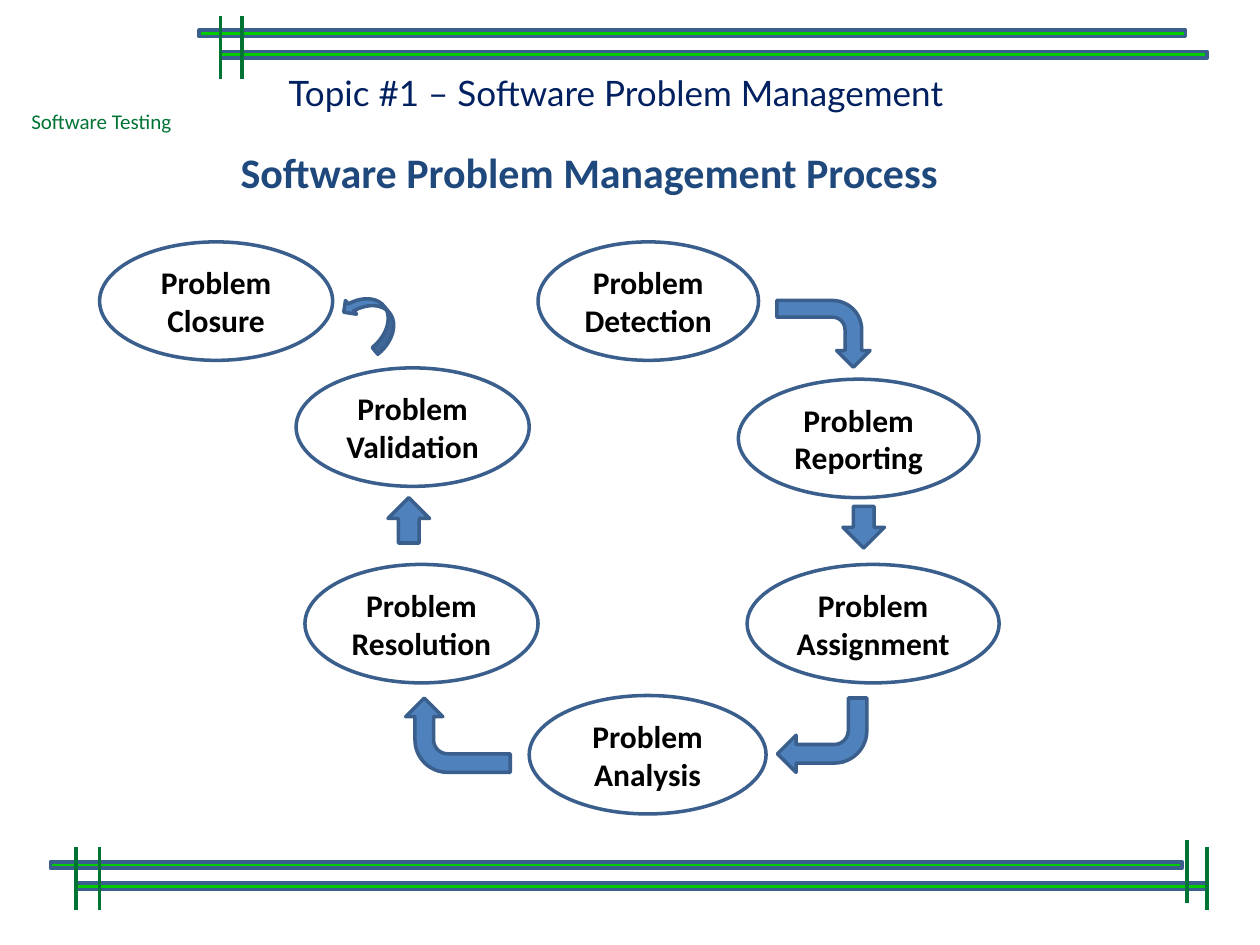
from lxml import etree
from pptx import Presentation
from pptx.dml.color import RGBColor
from pptx.enum import shapes, text
from pptx.oxml import ns
from pptx.util import Inches, Pt

WHITE = RGBColor(0xFF, 0xFF, 0xFF)
BLACK = RGBColor(0, 0, 0)
NAVY = RGBColor(0x00, 0x20, 0x60)
HEADING_BLUE = RGBColor(0x1F, 0x49, 0x7D)
ARROW_BLUE = RGBColor(0x4F, 0x81, 0xBD)
OUTLINE_BLUE = RGBColor(0x3A, 0x5F, 0x8C)
BAR_GREEN = RGBColor(0x00, 0xCC, 0x00)
DARK_GREEN = RGBColor(0x00, 0x74, 0x34)
PRESET = shapes.MSO_SHAPE

STEPS = [
    ("Detection", 4.27, 1.92, 1.75),
    ("Reporting", 5.86, 3.01, 1.91),
    ("Assignment", 5.93, 4.48, 2),
    ("Analysis", 4.2, 5.52, 1.88),
    ("Validation", 2.35, 2.92, 1.85),
    ("Resolution", 2.42, 4.48, 1.85),
    ("Closure", 0.79, 1.92, 1.85),
]
STEP_HEIGHT = 0.94
ARROWS = [
    (PRESET.BENT_ARROW, (6.27, 2.28, 0.53, 0.74), 90),
    (PRESET.DOWN_ARROW, (6.69, 4.02, 0.33, 0.33), 0),
    (PRESET.BENT_ARROW, (6.17, 5.54, 0.71, 0.59), 180),
    (PRESET.BENT_ARROW, (3.34, 5.42, 0.59, 0.83), 270),
    (PRESET.UP_ARROW, (3.08, 3.95, 0.33, 0.36), 0),
    (PRESET.CURVED_UP_ARROW, (2.7, 2.39, 0.5, 0.28), 231),
]


def place(part, box):
    """Move a part to a box given in inches."""
    part.left, part.top, part.width, part.height = map(Inches, box)


def add_run(paragraph, wording, font_name, size, color, bold=False):
    """Add one formatted run to a paragraph."""
    run = paragraph.add_run()
    run.text = wording
    run.font.name = font_name
    run.font.size = Pt(size)
    run.font.bold = bold
    run.font.color.rgb = color


def add_outlined(slide, preset, box, fill):
    """Add a preset shape with a solid fill and the blue outline."""
    outlined = slide.shapes.add_shape(preset, *map(Inches, box))
    outlined.shadow.inherit = False
    outlined.fill.solid()
    outlined.fill.fore_color.rgb = fill
    outlined.line.color.rgb = OUTLINE_BLUE
    outlined.line.width = Pt(2)
    return outlined


def add_post(slide, x, top):
    """Add a short vertical green line."""
    ends = map(Inches, (x, top, x, top + 0.5))
    post = slide.shapes.add_connector(shapes.MSO_CONNECTOR.STRAIGHT, *ends)
    post.line.color.rgb = DARK_GREEN
    post.line.width = Pt(2.25)
    etree.SubElement(post._element.spPr, ns.qn("a:effectLst"))


def add_rails(slide, box, indent, posts):
    """Add two staggered bars within a box, crossed by posts."""
    left, top, width, height = box
    bar_height = 0.05
    for x, y in ((left, top), (left + indent, top + height - bar_height)):
        bar_box = (x, y, width - indent, bar_height)
        add_outlined(slide, PRESET.FLOWCHART_PROCESS, bar_box, BAR_GREEN)
    for x, post_top in posts:
        add_post(slide, x, post_top)


def add_title(slide, box):
    """Format the topic title in its placeholder."""
    title = slide.shapes.title
    place(title, box)
    title.fill.solid()
    title.fill.fore_color.rgb = WHITE
    frame = title.text_frame
    frame.word_wrap = False
    frame.auto_size = text.MSO_AUTO_SIZE.SHAPE_TO_FIT_TEXT
    frame.vertical_anchor = text.MSO_ANCHOR.TOP
    topic = frame.paragraphs[0]
    topic.alignment = text.PP_ALIGN.LEFT
    add_run(topic, "Topic #1 – Software Problem Management", "Lato", 20, NAVY)


def add_course_label(slide, box):
    """Add the course name beside the title."""
    label = slide.shapes.add_textbox(*map(Inches, box))
    frame = label.text_frame
    frame.word_wrap = False
    frame.auto_size = text.MSO_AUTO_SIZE.SHAPE_TO_FIT_TEXT
    add_run(frame.paragraphs[0], "Software Testing", "Calibri", 12, DARK_GREEN)


def add_heading(slide, box):
    """Add the heading above the process."""
    heading = slide.shapes.add_textbox(*map(Inches, box))
    heading.fill.solid()
    heading.fill.fore_color.rgb = WHITE
    frame = heading.text_frame
    frame.word_wrap = True
    frame.vertical_anchor = text.MSO_ANCHOR.MIDDLE
    frame.margin_left = frame.margin_right = Inches(0.16)
    frame.margin_top = frame.margin_bottom = Inches(0.16)
    wording = frame.paragraphs[0]
    wording.line_spacing = 0.9
    add_run(wording, "Software Problem Management Process", "Calibri", 24,
            HEADING_BLUE, bold=True)


def add_step(slide, box, stage):
    """Add one ellipse of the process."""
    step = add_outlined(slide, PRESET.OVAL, box, WHITE)
    frame = step.text_frame
    frame.vertical_anchor = text.MSO_ANCHOR.MIDDLE
    for paragraph, word in ((frame.paragraphs[0], "Problem"),
                            (frame.add_paragraph(), stage)):
        paragraph.alignment = text.PP_ALIGN.CENTER
        add_run(paragraph, word, "Calibri", 18, BLACK, bold=True)


def add_process(slide, box):
    """Add the steps and arrows, offset from the box's top left corner."""
    left, top = box[:2]
    for stage, x, y, width in STEPS:
        add_step(slide, (left + x, top + y, width, STEP_HEIGHT), stage)
    for preset, (x, y, width, height), turn in ARROWS:
        arrow_box = (left + x, top + y, width, height)
        arrow = add_outlined(slide, preset, arrow_box, ARROW_BLUE)
        arrow.rotation = turn


def main():
    """Build and save the slide."""
    deck = Presentation()
    deck.slide_width, deck.slide_height = Inches(10), Inches(7.5)
    slide = deck.slides.add_slide(deck.slide_layouts[5])
    add_course_label(slide, (0.15, 0.81, 1.33, 0.3))
    add_rails(slide, (1.58, 0.24, 8, 0.22), 0.17,
              [(1.75, 0.13), (1.92, 0.13)])
    add_rails(slide, (0.4, 6.84, 9.18, 0.22), 0.2,
              [(0.6, 6.72), (0.79, 6.72), (9.58, 6.72), (9.42, 6.67)])
    add_title(slide, (2.19, 0.52, 6.32, 0.44))
    add_heading(slide, (1.75, 1.11, 6.1, 0.55))
    add_process(slide, (0, 0, 10, 7.5))
    deck.save("out.pptx")


if __name__ == "__main__":
    main()
